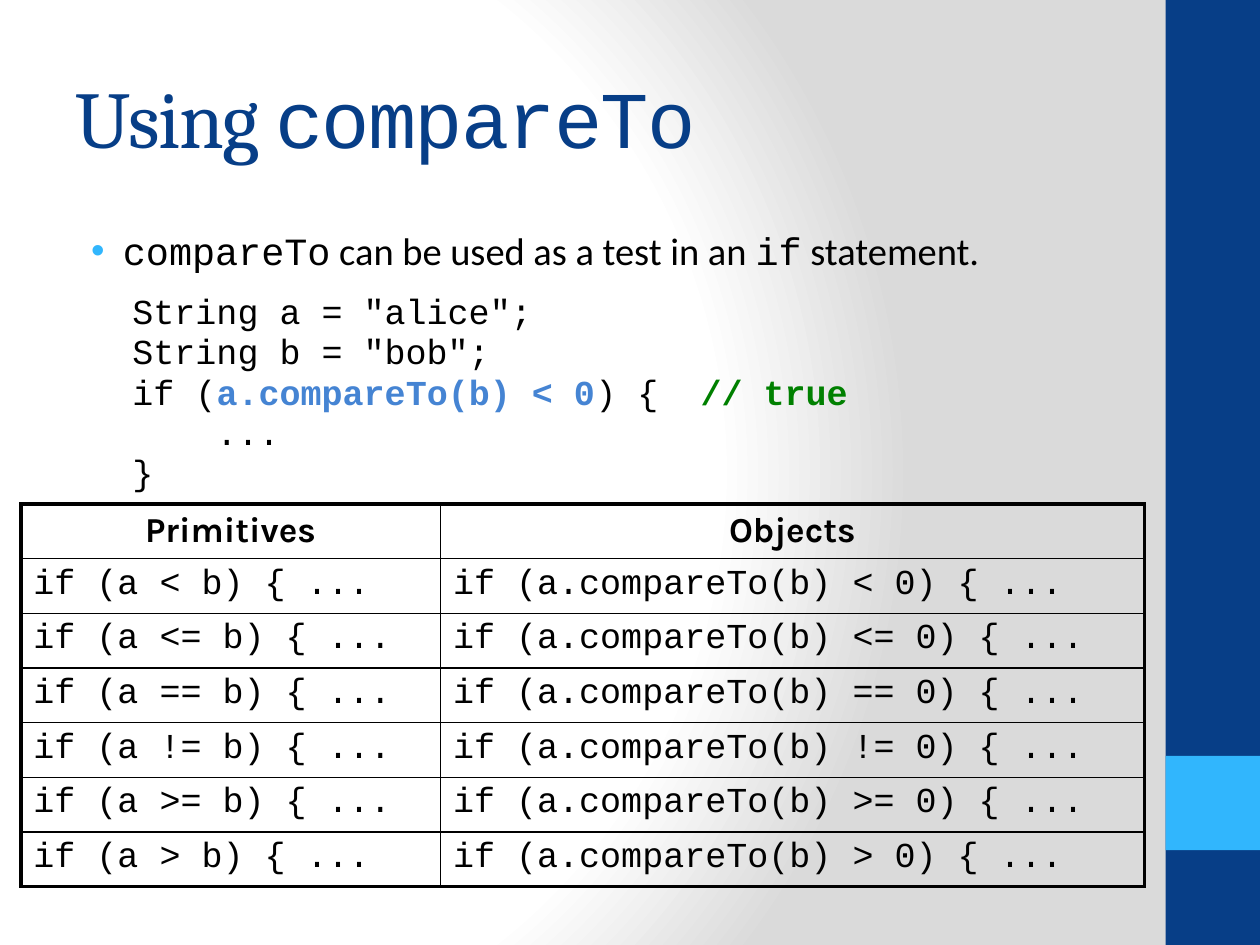
from lxml.etree import SubElement
from pptx import Presentation
from pptx.dml.color import RGBColor
from pptx.enum.shapes import MSO_SHAPE as Preset
from pptx.enum.text import MSO_ANCHOR as Anchor, PP_ALIGN as Align
from pptx.oxml import parse_xml
from pptx.oxml.ns import nsdecls, qn
from pptx.util import Cm, Pt

BLACK = RGBColor(0x00, 0x00, 0x00)
NAVY = RGBColor(0x07, 0x3E, 0x87)
SKY = RGBColor(0x31, 0xB6, 0xFD)
BLUE = RGBColor(0x45, 0x84, 0xD3)
GREEN = RGBColor(0x00, 0x80, 0x00)
WHITE = RGBColor(0xFF, 0xFF, 0xFF)
GRAY = RGBColor(0xDA, 0xDA, 0xDA)

MONO = "Courier New"
TITLE = {"name": "Cambria", "size": Pt(46), "color": NAVY}
TITLE_CODE = {**TITLE, "name": MONO}
BODY = {"name": "Calibri", "size": Pt(22), "color": BLACK}
BODY_CODE = {**BODY, "name": MONO}
CODE = {"name": MONO, "size": Pt(20), "color": BLACK}
TEST = {**CODE, "color": BLUE, "bold": True}
COMMENT = {**CODE, "color": GREEN, "bold": True}
HEADER = {"name": "Karla", "size": Pt(20), "color": BLACK, "bold": True}

THIN, THICK = Pt(1), Pt(2.25)
OPERATORS = ["<", "<=", "==", "!=", ">=", ">"]
CODE_LINES = [
    [('String a = "alice";', CODE)],
    [('String b = "bob";', CODE)],
    [("if (", CODE), ("a.compareTo(b) < 0", TEST), (") {  ", CODE), ("// true", COMMENT)],
    [("    ...", CODE)],
    [("}", CODE)],
]


def add_runs(paragraph, runs):
    for text, style in runs:
        run = paragraph.add_run()
        run.text = text
        for attribute, value in style.items():
            if attribute == "color":
                run.font.color.rgb = value
            else:
                setattr(run.font, attribute, value)


def format_paragraph(paragraph, left, indent, **values):
    for attribute, value in values.items():
        setattr(paragraph, attribute, value)
    properties = paragraph._p.get_or_add_pPr()
    properties.set("marL", str(left))
    properties.set("indent", str(indent))
    return properties


def add_text_frame(slide, box, anchor):
    frame = slide.shapes.add_textbox(*box).text_frame
    frame.word_wrap = True
    frame.vertical_anchor = anchor
    return frame


def set_background(slide):
    stops = "".join(
        f'<a:gs pos="{position}000"><a:srgbClr val="{color}"/></a:gs>'
        for position, color in [(0, WHITE), (75, WHITE), (100, GRAY)]
    )
    slide.element.cSld.insert(0, parse_xml(
        f'<p:bg {nsdecls("p", "a")}><p:bgPr><a:gradFill rotWithShape="1">'
        f'<a:gsLst>{stops}</a:gsLst><a:path path="circle">'
        '<a:fillToRect l="20000" t="50000" r="100000" b="50000"/></a:path>'
        '</a:gradFill><a:effectLst/></p:bgPr></p:bg>'
    ))


def add_sidebar(slide, left, top, width, height):
    square_top = top + int(height * 0.8)
    for y, bar_height, color in [(top, height, NAVY), (square_top, width, SKY)]:
        bar = slide.shapes.add_shape(Preset.RECTANGLE, left, y, width, bar_height)
        bar.shadow.inherit = False
        bar.fill.solid()
        bar.fill.fore_color.rgb = color
        bar.line.fill.background()


def add_title(slide, *box):
    paragraph = add_text_frame(slide, box, Anchor.MIDDLE).paragraphs[0]
    add_runs(paragraph, [("Using ", TITLE), ("compareTo", TITLE_CODE)])
    for run in paragraph.runs:
        run.font._element.set("spc", "-100")


def add_body(slide, *box):
    frame = add_text_frame(slide, box, Anchor.TOP)
    bullet = frame.paragraphs[0]
    add_runs(bullet, [
        ("compareTo", BODY_CODE),
        (" can be used as a test in an ", BODY),
        ("if", BODY_CODE),
        (" statement.", BODY),
    ])
    properties = format_paragraph(bullet, Cm(0.96), Cm(-0.64))
    bullet_color = SubElement(properties, qn("a:buClr"))
    SubElement(bullet_color, qn("a:srgbClr"), val=str(SKY))
    SubElement(properties, qn("a:buFont"), typeface="Arial")
    SubElement(properties, qn("a:buChar"), char="•")
    for index, runs in enumerate(CODE_LINES):
        paragraph = frame.add_paragraph()
        add_runs(paragraph, runs)
        space = Pt(3.8) if index else Pt(14)
        format_paragraph(paragraph, Cm(1.15), 0, line_spacing=0.8, space_before=space)


def set_borders(cell, widths):
    properties = cell._tc.get_or_add_tcPr()
    for index, (side, width) in enumerate(widths.items()):
        properties.insert(index, parse_xml(
            f'<a:ln{side} {nsdecls("a")} w="{width}"><a:solidFill>'
            f'<a:srgbClr val="{BLACK}"/></a:solidFill></a:ln{side}>'
        ))


def add_comparison_table(slide, left, top, width, height):
    rows = [("Primitives", "Objects")] + [
        (f"if (a {operator} b) {{ ...", f"if (a.compareTo(b) {operator} 0) {{ ...")
        for operator in OPERATORS
    ]
    last_row = len(rows) - 1
    table = slide.shapes.add_table(len(rows), 2, left, top, width, height).table
    table.first_row = table.horz_banding = False
    first_width = Cm(8.46)
    table.columns[0].width = first_width
    table.columns[1].width = width - first_width
    for row, texts in enumerate(rows):
        for column, text in enumerate(texts):
            cell = table.cell(row, column)
            cell.fill.background()
            paragraph = cell.text_frame.paragraphs[0]
            paragraph.alignment = Align.LEFT if row else Align.CENTER
            add_runs(paragraph, [(text, CODE if row else HEADER)])
            set_borders(cell, {
                "L": THIN if column else THICK,
                "R": THICK if column else THIN,
                "T": THIN if row else THICK,
                "B": THICK if row == last_row else THIN,
            })


presentation = Presentation()
presentation.slide_width, presentation.slide_height = Cm(25.4), Cm(19.05)
slide = presentation.slides.add_slide(presentation.slide_layouts[6])
set_background(slide)
add_sidebar(slide, Cm(23.5), Cm(0), Cm(1.9), Cm(19.05))
add_title(slide, Cm(1.27), Cm(0.76), Cm(21.16), Cm(3.18))
add_body(slide, Cm(1.27), Cm(4.45), Cm(21.16), Cm(13.33))
add_comparison_table(slide, Cm(0.42), Cm(10.16), Cm(22.65), Cm(7.7))
presentation.save("out.pptx")
